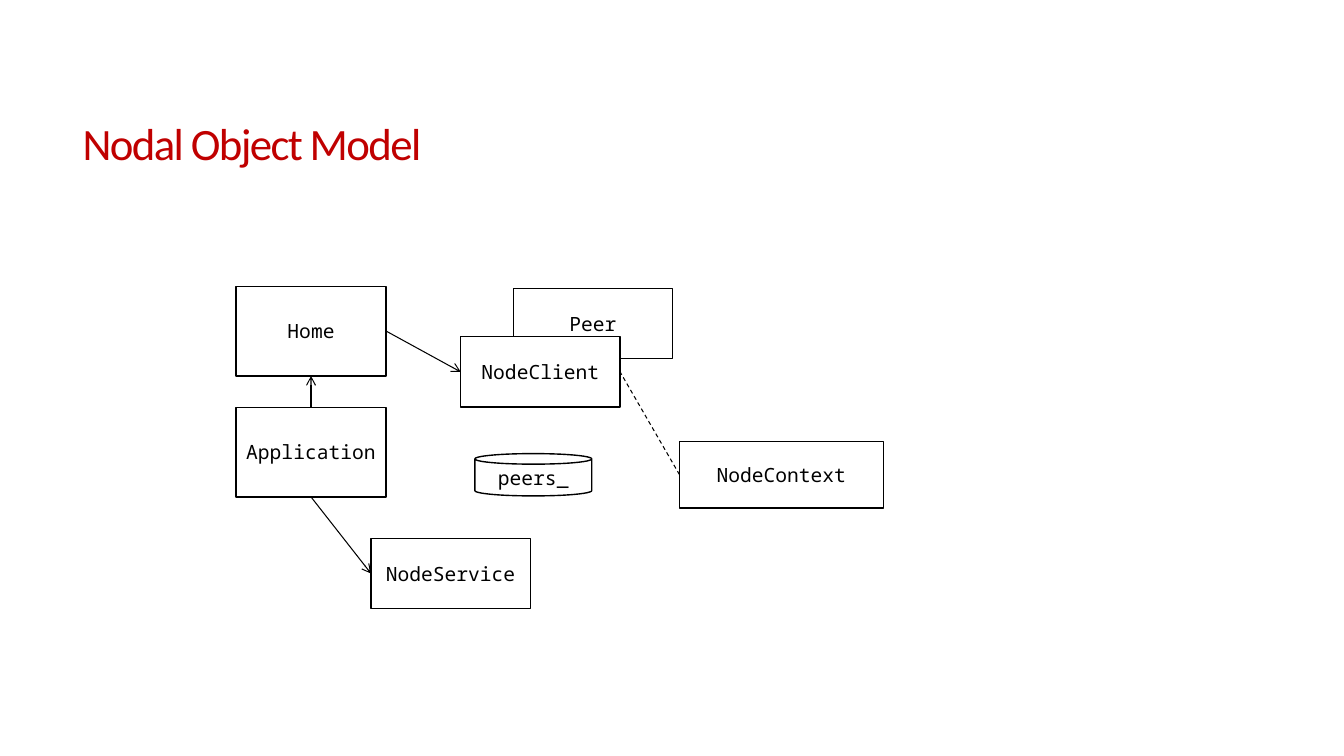
from lxml import etree
from pptx import Presentation
from pptx.dml.color import RGBColor
from pptx.enum.dml import MSO_LINE
from pptx.enum.shapes import MSO_CONNECTOR, MSO_SHAPE
from pptx.enum.text import MSO_ANCHOR, PP_ALIGN
from pptx.oxml.ns import qn
from pptx.util import Emu, Pt

RECT, CAN = MSO_SHAPE.RECTANGLE, MSO_SHAPE.CAN
STRAIGHT, DASH = MSO_CONNECTOR.STRAIGHT, MSO_LINE.DASH
MIDDLE = MSO_ANCHOR.MIDDLE
LEFT, CENTER = PP_ALIGN.LEFT, PP_ALIGN.CENTER
TOP_SIDE, LEFT_SIDE, BOTTOM_SIDE, RIGHT_SIDE = range(4)

EMU_PER_PX = 9144
COLORS = {"title": "C00000", "ink": "000000", "paper": "FFFFFF"}
LARGE, SMALL = (149, 89), (158, 70)


def px(n):
    return Emu(n * EMU_PER_PX)


def color(name):
    return RGBColor.from_string(COLORS[name])


def write(tf, text, *, font="Noto Sans Mono", size=14, ink="ink",
          align=CENTER, wrap=False, line_spacing=None, tracking=None):
    tf.word_wrap = wrap
    tf.vertical_anchor = MIDDLE
    p = tf.paragraphs[0]
    p.alignment = align
    p.line_spacing = line_spacing
    r = p.add_run()
    r.text = text
    r.font.name = font
    r.font.size = Pt(size)
    r.font.color.rgb = color(ink)
    if tracking is not None:
        r.font._element.set("spc", str(tracking))


def add_title(s, text):
    title = s.shapes.title
    title.left, title.top = px(72), px(55)
    title.width, title.height = px(1178), px(181)
    write(title.text_frame, text, font="Calibri", size=32, ink="title",
          align=LEFT, wrap=True, line_spacing=0.85, tracking=-120)


def add_node(s, text, left, top, size, kind=RECT):
    sp = s.shapes.add_shape(kind, px(left), px(top), *map(px, size))
    sp.shadow.inherit = False
    sp.fill.solid()
    sp.fill.fore_color.rgb = color("paper")
    sp.line.color.rgb = color("ink")
    sp.line.width = Pt(1)
    write(sp.text_frame, text)
    return sp


def add_link(s, start, start_side, end, end_side, dashed=False):
    link = s.shapes.add_connector(STRAIGHT, 0, 0, 0, 0)
    link.begin_connect(start, start_side)
    link.end_connect(end, end_side)
    link.line.color.rgb = color("ink")
    link.line.width = Pt(0.75)
    if dashed:
        link.line.dash_style = DASH
    else:
        etree.SubElement(link.line._get_or_add_ln(), qn("a:tailEnd"), type="arrow")
    etree.SubElement(link._element.spPr, qn("a:effectLst"))


def main():
    prs = Presentation()
    prs.slide_width, prs.slide_height = px(1333), px(750)
    s = prs.slides.add_slide(prs.slide_layouts[5])
    add_title(s, "Nodal Object Model")

    context = add_node(s, "NodeContext", 674, 438, (202, 66))
    home = add_node(s, "Home", 234, 284, LARGE)
    add_node(s, "Peer", 509, 286, SMALL)
    client = add_node(s, "NodeClient", 457, 334, SMALL)
    add_node(s, "peers_", 471, 450, (116, 42), CAN)
    application = add_node(s, "Application", 234, 404, LARGE)
    service = add_node(s, "NodeService", 368, 534, SMALL)

    add_link(s, home, RIGHT_SIDE, client, LEFT_SIDE)
    add_link(s, application, TOP_SIDE, home, BOTTOM_SIDE)
    add_link(s, application, BOTTOM_SIDE, service, LEFT_SIDE)
    add_link(s, context, LEFT_SIDE, client, RIGHT_SIDE, dashed=True)

    prs.save("out.pptx")


if __name__ == "__main__":
    main()
